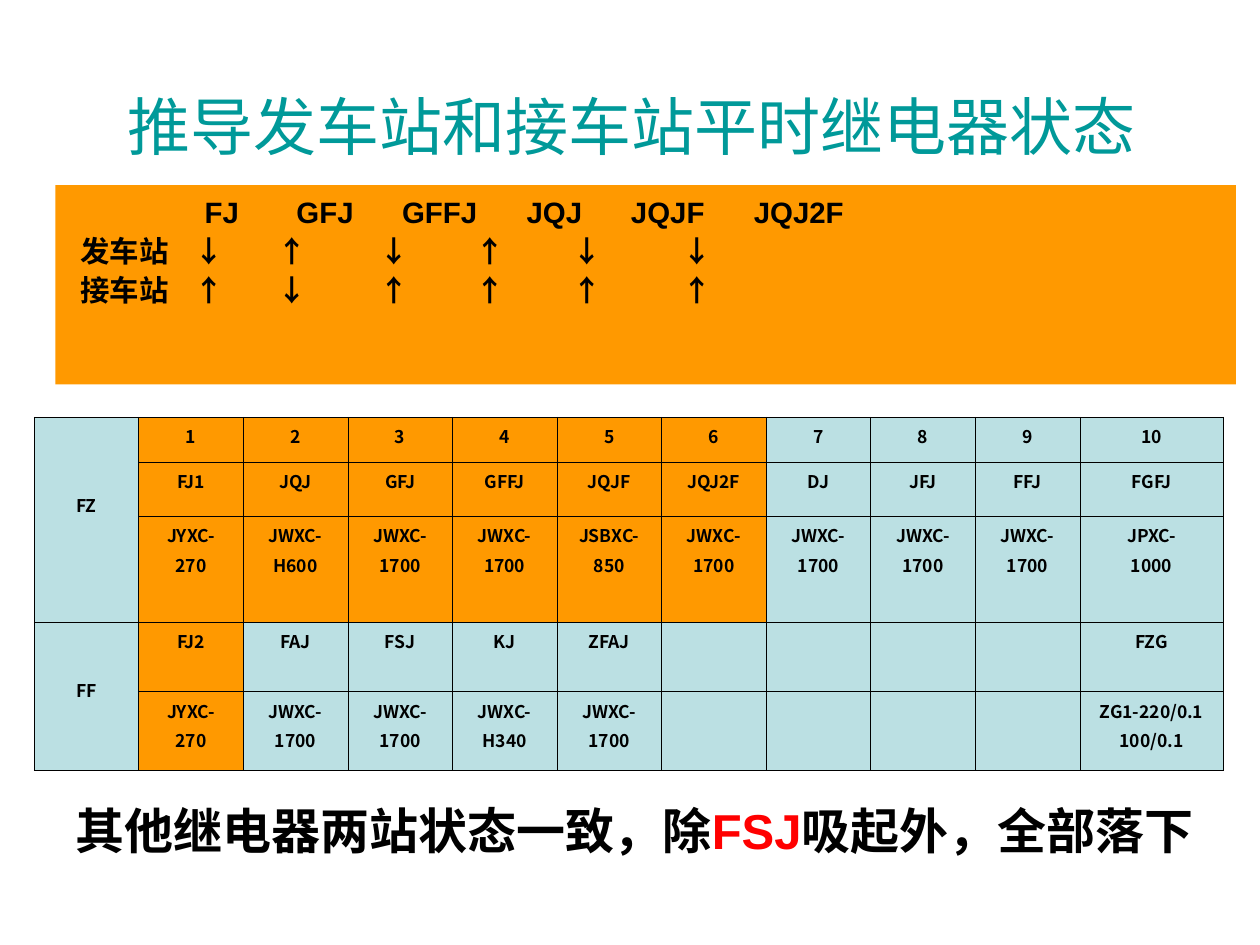
from lxml import etree
from pptx import Presentation
from pptx import util as u
from pptx.dml.color import RGBColor
from pptx.enum import shapes, text
from pptx.oxml.ns import qn

# Content
TITLE = "推导发车站和接车站平时继电器状态"
STATES = [
    ["", "FJ", "GFJ", "GFFJ", "JQJ", "JQJF", "JQJ2F"],
    ["发车站", "↓", "↑", "↓", "↑", "↓", "↓"],
    ["接车站", "↑", "↓", "↑", "↑", "↑", "↑"],
]
RELAYS = [
    ["FZ", "1", "2", "3", "4", "5", "6", "7", "8", "9", "10"],
    ["", "FJ1", "JQJ", "GFJ", "GFFJ", "JQJF", "JQJ2F", "DJ", "JFJ", "FFJ", "FGFJ"],
    ["", "JYXC-\n270", "JWXC-\nH600", "JWXC-\n1700", "JWXC-\n1700", "JSBXC-\n850",
     "JWXC-\n1700", "JWXC-\n1700", "JWXC-\n1700", "JWXC-\n1700", "JPXC-\n1000"],
    ["FF", "FJ2", "FAJ", "FSJ", "KJ", "ZFAJ", "", "", "", "", "FZG"],
    ["", "JYXC-\n270", "JWXC-\n1700", "JWXC-\n1700", "JWXC-\nH340", "JWXC-\n1700",
     "", "", "", "", "ZG1-220/0.1\n100/0.1"],
]
NOTE = [("其他继电器两站状态一致，除", "000000"), ("FSJ", "FF0000"), ("吸起外，全部落下", "000000")]

# Layout and formats
HEAD_STOPS = [1.12, 1.94, 2.85, 3.76, 4.66, 5.7]
ARROW_STOPS = [1.02, 1.68, 2.49, 3.25, 4.02, 4.89]
COLUMNS = [0.83] * 10 + [1.14]
ROWS = [0.36, 0.43, 0.84, 0.55, 0.62]
GROUPS = {0: (2, 0.6), 3: (4, 0.44)}  # first row: (last row, space above label)
LAST_ORANGE = [6, 6, 6, 1, 1]  # last highlighted column in each row
ORANGE, PALE = "FF9900", "BBE0E3"
CJK = "Noto Sans CJK SC"
TITLE_FONT = {"size": u.Pt(36), "name": "Arial", "bold": False}
STATE_FONT = {"size": u.Pt(16.8), "name": "Arial", "bold": True}
CELL_FONT = {"size": u.Pt(10), "name": CJK, "bold": True}
NOTE_FONT = {"size": u.Pt(28), "name": "Arial", "bold": True}


def rgb(value):
    return RGBColor.from_string(value)


def paint(owner, color):
    owner.fill.solid()
    owner.fill.fore_color.rgb = rgb(color)


def add_run(paragraph, words, font, color="000000"):
    run = paragraph.add_run()
    run.text = words
    for key, value in font.items():
        setattr(run.font, key, value)
    run.font.color.rgb = rgb(color)
    etree.SubElement(run.font._element, qn("a:ea"), typeface=CJK)


def add_line(slide, place, runs, font):
    frame = slide.shapes.add_textbox(*map(u.Inches, place)).text_frame
    frame.word_wrap = True
    frame.vertical_anchor = text.MSO_ANCHOR.MIDDLE
    line = frame.paragraphs[0]
    line.alignment = text.PP_ALIGN.CENTER
    for words, color in runs:
        add_run(line, words, font, color)


def add_states(slide):
    banner = slide.shapes.add_shape(
        shapes.MSO_SHAPE.RECTANGLE, *map(u.Inches, (0.44, 1.47, 9.37, 1.58)))
    banner.shadow.inherit = False
    paint(banner, ORANGE)
    banner.line.fill.background()
    frame = banner.text_frame
    frame.word_wrap = True
    frame.vertical_anchor = text.MSO_ANCHOR.TOP
    frame.margin_left, frame.margin_top = u.Inches(0.2), u.Inches(0.07)
    for index, entries in enumerate(STATES):
        line = frame.add_paragraph() if index else frame.paragraphs[0]
        line.alignment = text.PP_ALIGN.LEFT
        line.space_before = u.Pt(2 if index else 0)
        tabs = etree.SubElement(line._p.get_or_add_pPr(), qn("a:tabLst"))
        for stop in ARROW_STOPS if index else HEAD_STOPS:
            etree.SubElement(tabs, qn("a:tab"), pos=str(u.Inches(stop)), algn="ctr")
        add_run(line, "\t".join(entries), STATE_FONT)


def add_borders(cell):
    for side in ("lnL", "lnR", "lnT", "lnB"):
        border = etree.SubElement(
            cell._tc.get_or_add_tcPr(), qn("a:" + side), w=str(u.Pt(0.23)))
        fill = etree.SubElement(border, qn("a:solidFill"))
        etree.SubElement(fill, qn("a:srgbClr"), val="000000")


def add_relays(slide):
    place = map(u.Inches, (0.27, 3.31, sum(COLUMNS), sum(ROWS)))
    table = slide.shapes.add_table(len(ROWS), len(COLUMNS), *place).table
    table.first_row = table.horz_banding = False
    for column, width in zip(table.columns, COLUMNS):
        column.width = u.Inches(width)
    for row, height in zip(table.rows, ROWS):
        row.height = u.Inches(height)
    for r, entries in enumerate(RELAYS):
        for c, words in enumerate(entries):
            cell = table.cell(r, c)
            add_borders(cell)
            paint(cell, ORANGE if 1 <= c <= LAST_ORANGE[r] else PALE)
            for index, part in enumerate(words.split("\n") if words else []):
                frame = cell.text_frame
                line = frame.add_paragraph() if index else frame.paragraphs[0]
                line.alignment = text.PP_ALIGN.CENTER
                line.space_before = u.Pt(2.5 if index else 0)
                add_run(line, part, CELL_FONT)
    # Group labels span their rows
    for first, (last, gap) in GROUPS.items():
        label = table.cell(first, 0)
        label.merge(table.cell(last, 0))
        label.margin_top = u.Inches(gap)


def main():
    deck = Presentation()
    deck.slide_width, deck.slide_height = u.Inches(10), u.Inches(7.5)
    slide = deck.slides.add_slide(deck.slide_layouts[6])
    add_line(slide, (0.51, 0.6, 9, 0.79), [(TITLE, "009999")], TITLE_FONT)
    add_states(slide)
    add_relays(slide)
    add_line(slide, (0.27, 6.19, 9.53, 0.79), NOTE, NOTE_FONT)
    deck.save("out.pptx")


if __name__ == "__main__":
    main()
